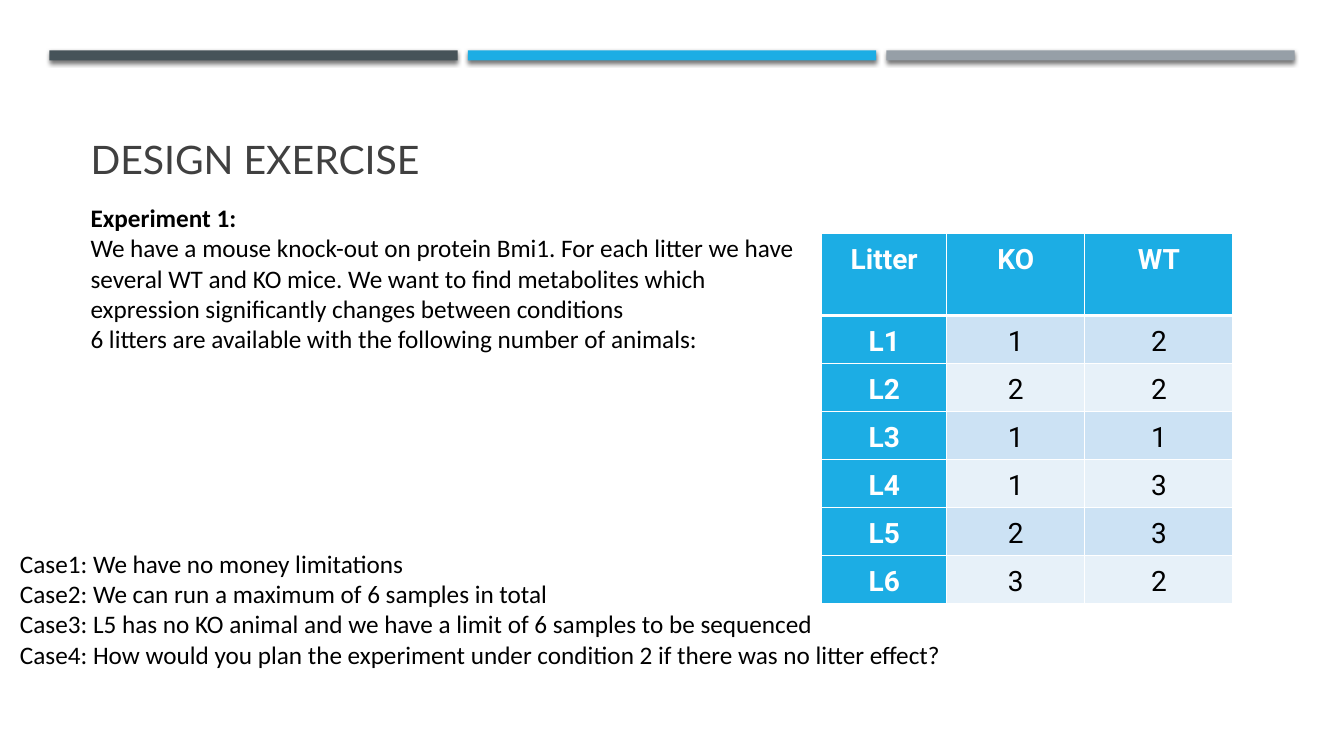
from lxml import etree
from pptx import Presentation
from pptx.dml.color import RGBColor
from pptx.enum.shapes import MSO_SHAPE as Shape
from pptx.enum.text import MSO_ANCHOR as Anchor, PP_ALIGN as Align
from pptx.oxml import parse_xml
from pptx.oxml.ns import nsdecls, qn
from pptx.util import Inches, Pt

COLORS = {
    "slate": "465359", "blue": "1CADE4", "gray": "969FA7", "title": "404040",
    "text": "000000", "white": "FFFFFF", "band_dark": "CCE2F4", "band_light": "E7F1F9",
}
TITLE = "DESIGN EXERCISE"
EXPERIMENT = [
    "Experiment 1:",
    "We have a mouse knock-out on protein Bmi1. For each litter we have several WT and KO mice. "
    "We want to find metabolites which expression significantly changes between conditions",
    "6 litters are available with the following number of animals:",
]
CASES = [
    "Case1: We have no money limitations",
    "Case2: We can run a maximum of 6 samples in total",
    "Case3: L5 has no KO animal and we have a limit of 6 samples to be sequenced",
    "Case4: How would you plan the experiment under condition 2 if there was no litter effect?",
]
LITTERS = [
    ("Litter", "KO", "WT"),
    ("L1", 1, 2), ("L2", 2, 2), ("L3", 1, 1),
    ("L4", 1, 3), ("L5", 2, 3), ("L6", 3, 2),
]
BARS = ["slate", "blue", "gray"]
BAR_LEFT, BAR_TOP, BAR_WIDTH, BAR_HEIGHT, BAR_PITCH = 0.49, 0.5, 4.05, 0.1, 4.15
TABLE_LEFT, TABLE_TOP = 8.15, 2.32
COLUMN_WIDTHS = [1.24, 1.37, 1.47]
HEADER_HEIGHT, ROW_HEIGHT = 0.81, 0.43


def color(name):
    return RGBColor.from_string(COLORS[name])


def style(paragraph, font_name, size, color_name, bold=False):
    font = paragraph.font
    font.name, font.size, font.bold = font_name, Pt(size), bold
    font.color.rgb = color(color_name)


def add_bar(slide, column, color_name):
    left = BAR_LEFT + column * BAR_PITCH
    bar = slide.shapes.add_shape(
        Shape.RECTANGLE, *map(Inches, (left, BAR_TOP, BAR_WIDTH, BAR_HEIGHT)))
    bar.fill.solid()
    bar.fill.fore_color.rgb = color(color_name)
    bar.line.fill.background()
    bar.shadow.inherit = False
    effects = bar._element.spPr.find(qn("a:effectLst"))
    effects.append(parse_xml(
        f'<a:outerShdw {nsdecls("a")} blurRad="{Pt(3)}" dist="{Pt(2)}" dir="5400000" rotWithShape="0">'
        f'<a:srgbClr val="{COLORS["text"]}"><a:alpha val="55000"/></a:srgbClr></a:outerShdw>'))


def add_text(slide, box, lines, font_name, size, color_name, anchor=Anchor.TOP):
    frame = slide.shapes.add_textbox(*map(Inches, box)).text_frame
    frame.word_wrap = True
    frame.vertical_anchor = anchor
    frame.text = "\n".join(lines)
    for paragraph in frame.paragraphs:
        style(paragraph, font_name, size, color_name)
    return frame


def add_borders(cell, bottom_width):
    properties = cell._tc.get_or_add_tcPr()
    widths = {"lnL": 0.96, "lnR": 0.96, "lnT": 0.96, "lnB": bottom_width}
    for position, (side, width) in enumerate(widths.items()):
        line = etree.Element(qn(f"a:{side}"), w=str(Pt(width)))
        fill = etree.SubElement(line, qn("a:solidFill"))
        etree.SubElement(fill, qn("a:srgbClr"), val=COLORS["white"])
        properties.insert(position, line)


def add_litter_table(slide):
    heights = [HEADER_HEIGHT] + [ROW_HEIGHT] * (len(LITTERS) - 1)
    box = (TABLE_LEFT, TABLE_TOP, sum(COLUMN_WIDTHS), sum(heights))
    table = slide.shapes.add_table(
        len(LITTERS), len(COLUMN_WIDTHS), *map(Inches, box)).table
    table.first_col = True
    for column, width in zip(table.columns, COLUMN_WIDTHS):
        column.width = Inches(width)
    for row, height in zip(table.rows, heights):
        row.height = Inches(height)
    for row, values in enumerate(LITTERS):
        for column, value in enumerate(values):
            cell = table.cell(row, column)
            heading = row == 0 or column == 0
            band = "band_dark" if row % 2 else "band_light"
            cell.fill.solid()
            cell.fill.fore_color.rgb = color("blue" if heading else band)
            cell.margin_left = cell.margin_right = Inches(0.07)
            cell.text = str(value)
            paragraph = cell.text_frame.paragraphs[0]
            paragraph.alignment = Align.CENTER
            paragraph.line_spacing = 1.15
            style(paragraph, "Roboto", 20, "white" if heading else "text", heading)
            add_borders(cell, 3 if row == 0 else 0.96)


def main():
    presentation = Presentation()
    presentation.slide_width, presentation.slide_height = Inches(13.33), Inches(7.5)
    slide = presentation.slides.add_slide(presentation.slide_layouts[6])
    for column, color_name in enumerate(BARS):
        add_bar(slide, column, color_name)
    add_litter_table(slide)
    experiment = add_text(slide, (0.8, 1.96, 7.34, 2.5), EXPERIMENT, "Calibri", 18, "text")
    experiment.paragraphs[0].font.bold = True
    add_text(slide, (0.1, 5.39, 11.5, 1.3), CASES, "Calibri", 18, "text")
    add_text(slide, (0.8, 0.93, 12.06, 1.3), [TITLE], "Lato", 28, "title", Anchor.MIDDLE)
    presentation.save("out.pptx")


if __name__ == "__main__":
    main()
